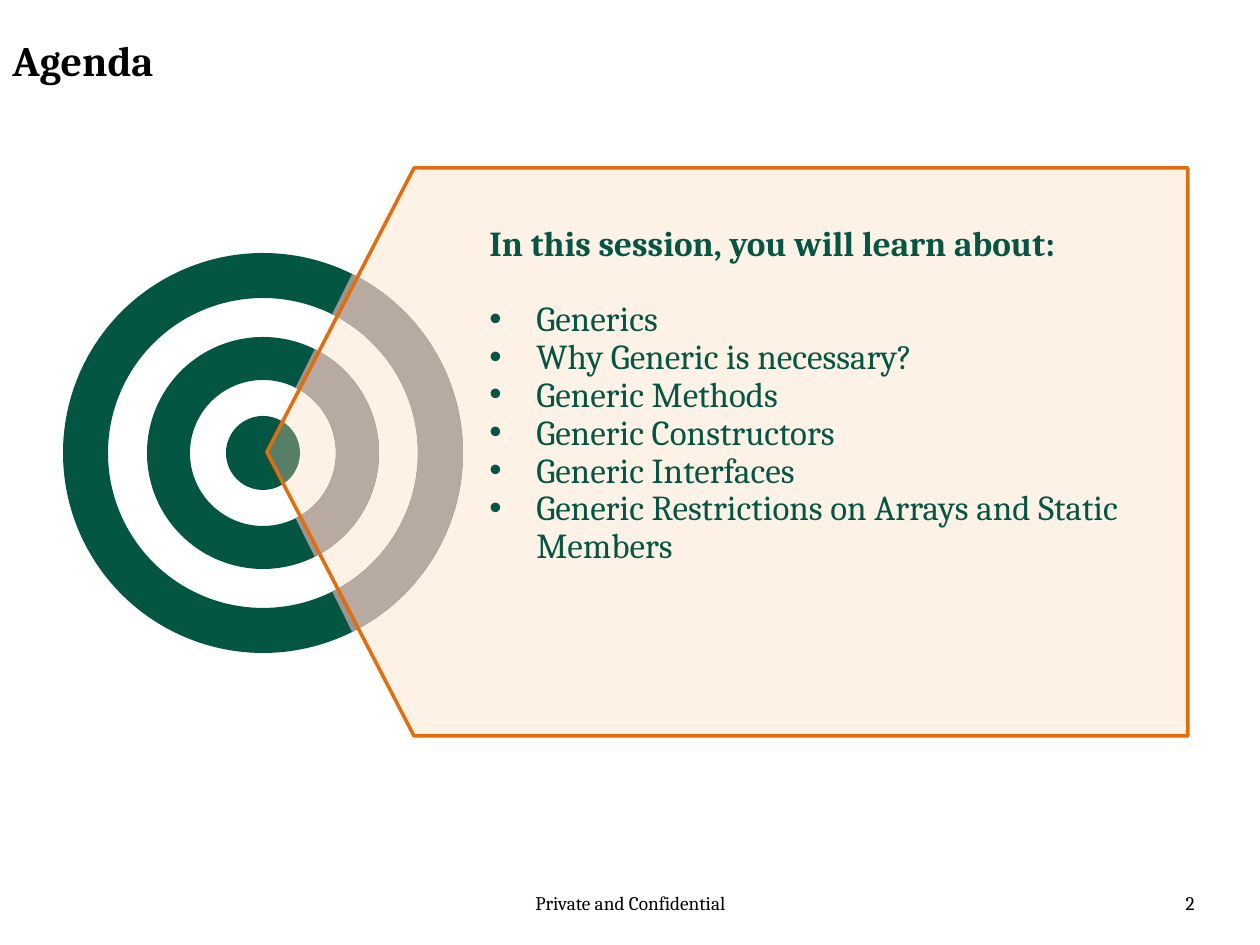
from lxml import etree
from pptx import Presentation, util as u
from pptx.dml.color import RGBColor
from pptx.enum import shapes, text
from pptx.oxml.ns import qn

PX = 914400 / 126
FONT = "Cambria"
BLACK = RGBColor(0, 0, 0)
GREEN = RGBColor(0x03, 0x56, 0x42)
GREY = RGBColor(0x96, 0x96, 0x96)
PEACH = RGBColor(0xFC, 0xD5, 0xB5)
ORANGE = RGBColor(0xE4, 0x6C, 0x0A)
MSO = shapes.MSO_SHAPE
ALIGN = text.PP_ALIGN

TOPICS = [
    "Generics",
    "Why Generic is necessary?",
    "Generic Methods",
    "Generic Constructors",
    "Generic Interfaces",
    "Generic Restrictions on Arrays and Static Members",
]


def px(n):
    return u.Emu(round(n * PX))


def write(para, words, size=20, color=BLACK, bold=False, align=ALIGN.LEFT,
          line=None, before=None, bullet=0):
    """Fill one paragraph; bullet is its hanging indent in px."""
    if bullet:
        props = para._p.get_or_add_pPr()
        props.set("marL", str(px(bullet)))
        props.set("indent", str(-px(bullet)))
        etree.SubElement(props, qn("a:buFont")).set("typeface", "Arial")
        etree.SubElement(props, qn("a:buChar")).set("char", "•")
    para.alignment = align
    if line:
        para.line_spacing = line
    if before:
        para.space_before = u.Pt(before)
    run = para.add_run()
    run.text = words
    font = run.font
    font.name, font.size, font.bold = FONT, u.Pt(size), bold
    font.color.rgb = color


def label(slide, box, words, **style):
    frame = slide.shapes.add_textbox(*map(px, box)).text_frame
    frame.word_wrap = True
    write(frame.paragraphs[0], words, **style)


def solid(slide, kind, box, color):
    shape = slide.shapes.add_shape(kind, *map(px, box))
    shape.shadow.inherit = False
    shape.fill.solid()
    shape.fill.fore_color.rgb = color
    shape.line.fill.background()
    return shape


def target(slide, box):
    """Concentric rings, with a grey sector on the right of each."""
    left, top, side = box
    mid = side / 2

    def around(rad):
        return left + mid - rad, top + mid - rad, 2 * rad, 2 * rad

    solid(slide, MSO.OVAL, around(37), GREEN)
    rings = [(116, 43), (200, 45)]  # radius, thickness
    for rad, thick in rings:
        ring = solid(slide, MSO.DONUT, around(rad), GREEN)
        ring.adjustments[0] = thick / (2 * rad)
    for rad, thick in rings:
        arc = solid(slide, MSO.BLOCK_ARC, around(rad), GREY)
        # angles are in 60000ths of a degree, adjustments in 100000ths
        for i, deg in enumerate((296.5, 63.5)):
            arc.adjustments[i] = deg * 0.6
        arc.adjustments[2] = thick / (2 * rad)


def panel(slide, box):
    """Left-pointing translucent plate with the topics."""
    plate = solid(slide, MSO.PENTAGON, box, PEACH)
    plate.adjustments[0] = 0.259
    plate._element.spPr.find(qn("a:xfrm")).set("flipH", "1")
    tint = plate._element.spPr.find(qn("a:solidFill"))[0]
    etree.SubElement(tint, qn("a:alpha")).set("val", "33000")
    plate.line.color.rgb = ORANGE
    plate.line.width = u.Pt(2)

    frame = plate.text_frame
    frame.word_wrap = True
    frame.vertical_anchor = text.MSO_ANCHOR.TOP
    frame.margin_left, frame.margin_right = px(149), px(10)
    frame.margin_top, frame.margin_bottom = px(58), 0
    write(frame.paragraphs[0], "In this session, you will learn about:",
          color=GREEN, bold=True, line=0.9)
    for i, topic in enumerate(TOPICS):
        write(frame.add_paragraph(), topic, color=GREEN, line=0.9,
              before=0 if i else 21.6, bullet=47)


def main():
    deck = Presentation()
    deck.slide_width, deck.slide_height = px(1260), px(945)
    slide = deck.slides.add_slide(deck.slide_layouts[6])

    # Footer and title
    label(slide, (431, 885, 399, 50), "Private and Confidential",
          size=11, align=ALIGN.CENTER)
    label(slide, (914, 885, 293, 50), "2", size=11, align=ALIGN.RIGHT)
    label(slide, (0, 28, 956, 78), "Agenda", size=24, bold=True)

    # Body
    target(slide, (63, 253, 400))
    panel(slide, (267, 168, 921, 568))
    deck.save("out.pptx")


if __name__ == "__main__":
    main()
